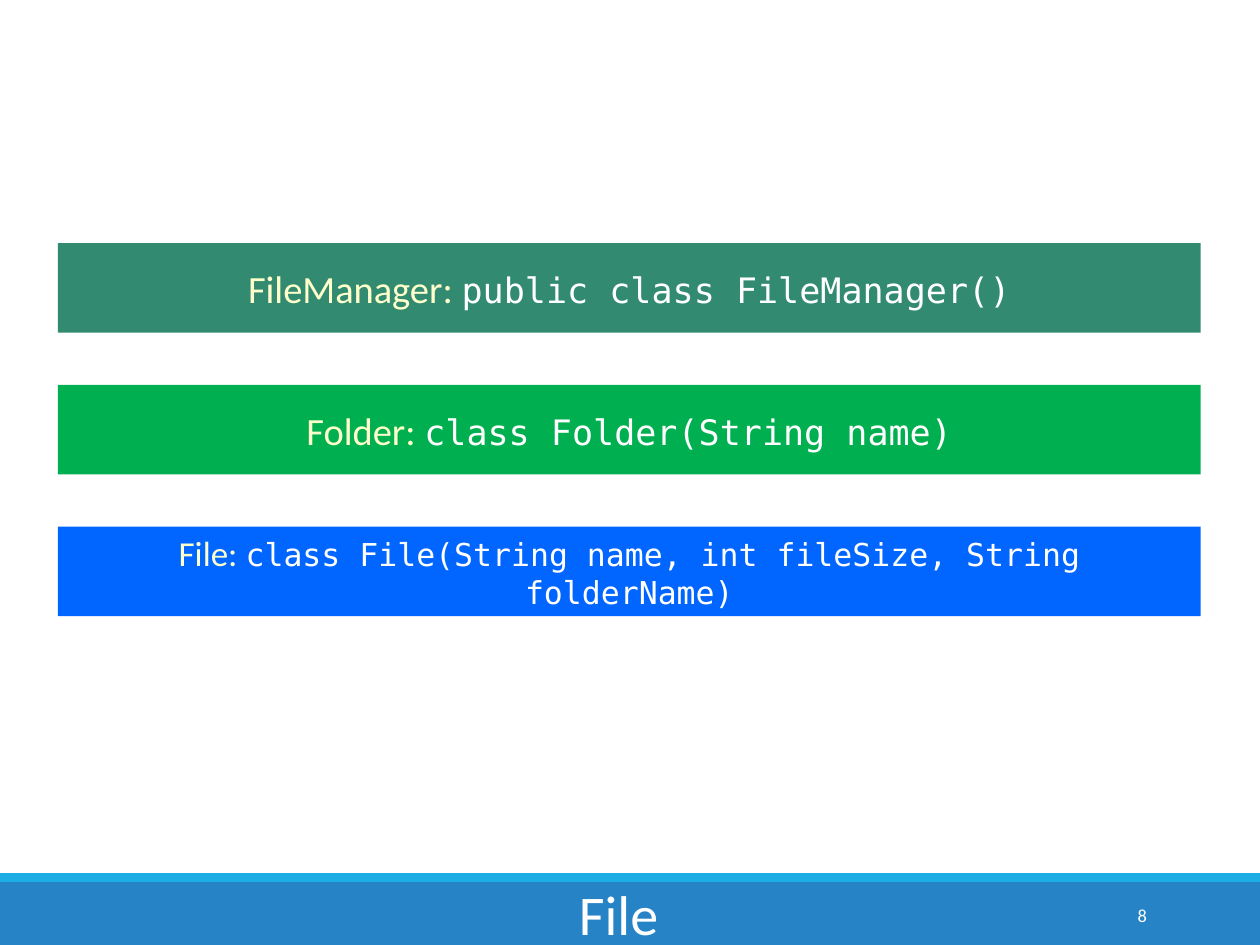
from dataclasses import dataclass

import pptx
import pptx.dml.color
import pptx.enum.shapes
import pptx.enum.text
import pptx.util

Inches = pptx.util.Inches
ALIGN = pptx.enum.text.PP_ALIGN
ANCHOR = pptx.enum.text.MSO_ANCHOR


@dataclass(frozen=True)
class Theme:
    text_font: str = "Calibri"
    code_font: str = "DejaVu Sans Mono"
    white: str = "FFFFFF"
    label: str = "FFFFCC"
    footer: str = "2683C6"
    accent: str = "1CADE4"
    manager: str = "328B71"
    folder: str = "00B050"
    file: str = "0066FF"
    title_size: float = 32
    large_size: float = 22
    medium_size: float = 20
    small_size: float = 18
    number_size: float = 10.5


THEME = Theme()


def color(value):
    return pptx.dml.color.RGBColor.from_string(value)


def add_rectangle(slide, box, fill):
    shape = slide.shapes.add_shape(pptx.enum.shapes.MSO_SHAPE.RECTANGLE, *box)
    shape.shadow.inherit = False
    shape.fill.solid()
    shape.fill.fore_color.rgb = color(fill)
    shape.line.fill.background()
    return shape


def write_line(shape, runs, alignment, anchor):
    frame = shape.text_frame
    frame.word_wrap = True
    frame.auto_size = pptx.enum.text.MSO_AUTO_SIZE.NONE
    frame.vertical_anchor = anchor
    paragraph = frame.paragraphs[0]
    paragraph.alignment = alignment
    for text, font, size, fill in runs:
        run = paragraph.add_run()
        run.text = text
        run.font.name = font
        run.font.size = pptx.util.Pt(size)
        run.font.color.rgb = color(fill)


def build_footer(slide, box, title_text, number):
    left, top, width, height = box
    accent_height = Inches(0.07)
    title = slide.shapes.title
    bars = (
        ((left, top + accent_height, width, height - accent_height), THEME.footer),
        ((left, top, width, accent_height), THEME.accent),
    )
    for bar_box, fill in bars:
        bar = add_rectangle(slide, bar_box, fill)
        title.element.addprevious(bar.element)

    title.left, title.top = left + Inches(2.79), top - Inches(0.01)
    title.width, title.height = Inches(4.24), Inches(0.64)
    write_line(title, [(title_text, THEME.text_font, THEME.title_size, THEME.white)],
               ALIGN.CENTER, ANCHOR.BOTTOM)

    number_box = slide.shapes.add_textbox(
        left + Inches(8.12), top + Inches(0.13), Inches(1.08), Inches(0.4))
    write_line(number_box, [(number, THEME.text_font, THEME.number_size, THEME.white)],
               ALIGN.RIGHT, ANCHOR.MIDDLE)


def build_class_bars(slide, box):
    left, top, width, height = box
    bar_height = Inches(0.71)
    classes = (
        ("FileManager: ", "public class FileManager()", THEME.manager,
         THEME.large_size, THEME.medium_size),
        ("Folder: ", "class Folder(String name)", THEME.folder,
         THEME.large_size, THEME.medium_size),
        ("File: ", "class File(String name, int fileSize, String folderName)",
         THEME.file, THEME.medium_size, THEME.small_size),
    )
    step = (height - bar_height) // (len(classes) - 1)
    for index, (label, code, fill, label_size, code_size) in enumerate(classes):
        bar = add_rectangle(slide, (left, top + index * step, width, bar_height), fill)
        write_line(bar, [(label, THEME.text_font, label_size, THEME.label),
                         (code, THEME.code_font, code_size, THEME.white)],
                   ALIGN.CENTER, ANCHOR.MIDDLE)


def main():
    presentation = pptx.Presentation()
    presentation.slide_width = Inches(10)
    presentation.slide_height = Inches(7.5)
    slide = presentation.slides.add_slide(presentation.slide_layouts[5])
    build_footer(slide, (0, Inches(6.93), Inches(10), Inches(0.57)), "File", "8")
    build_class_bars(slide, (Inches(0.46), Inches(1.93), Inches(9.07), Inches(2.96)))
    presentation.save("out.pptx")


if __name__ == "__main__":
    main()
